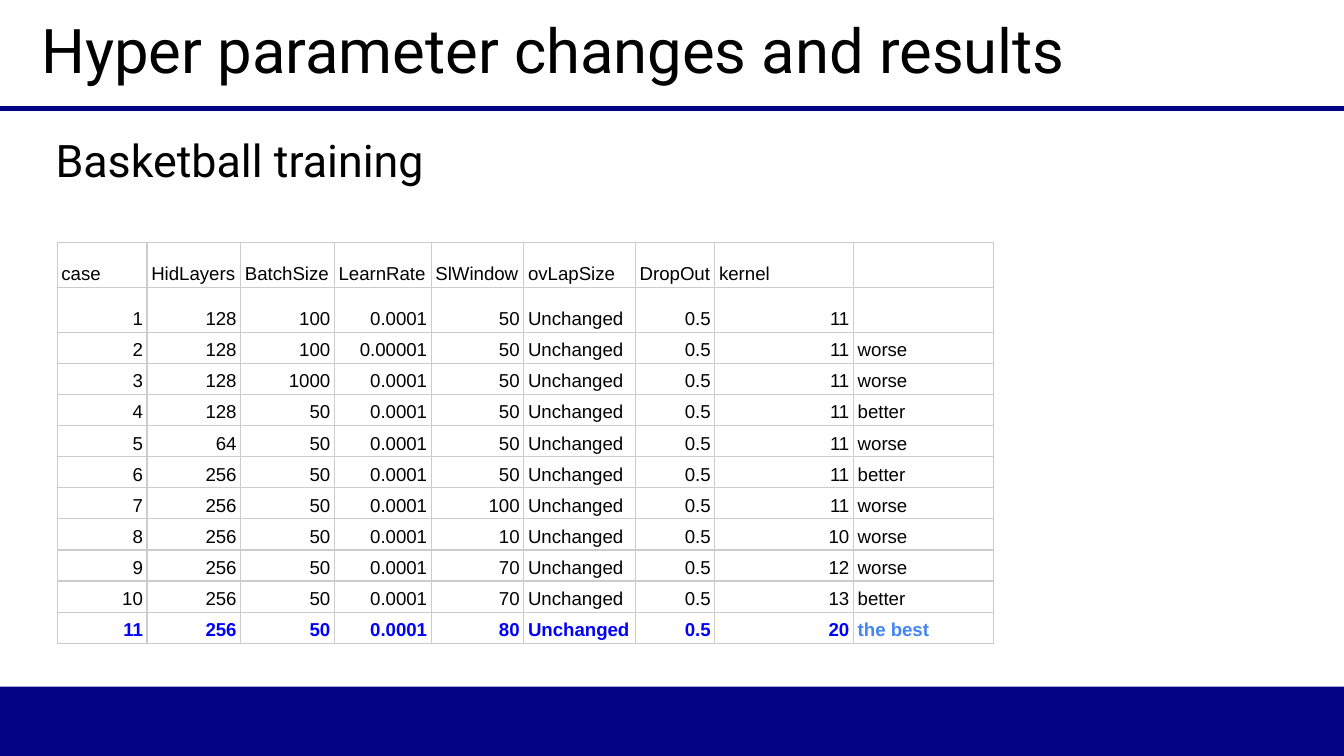
from lxml import etree
from pptx import Presentation
from pptx import util as u
from pptx.dml.color import RGBColor
from pptx.enum import shapes, text
from pptx.oxml import ns

NAVY, BLACK, WHITE = "030385", "000000", "FFFFFF"
BLUE, SKY, GREY = "0000FF", "4285F4", "CCCCCC"

HEAD = ["case", "HidLayers", "BatchSize", "LearnRate", "SlWindow",
        "ovLapSize", "DropOut", "kernel", ""]
# Layers, batch size, learning rate, window, kernel, verdict
CASES = [
    ("128", "100", "0.0001", "50", "11", ""),
    ("128", "100", "0.00001", "50", "11", "worse"),
    ("128", "1000", "0.0001", "50", "11", "worse"),
    ("128", "50", "0.0001", "50", "11", "better"),
    ("64", "50", "0.0001", "50", "11", "worse"),
    ("256", "50", "0.0001", "50", "11", "better"),
    ("256", "50", "0.0001", "100", "11", "worse"),
    ("256", "50", "0.0001", "10", "10", "worse"),
    ("256", "50", "0.0001", "70", "12", "worse"),
    ("256", "50", "0.0001", "70", "13", "better"),
    ("256", "50", "0.0001", "80", "20", "the best"),
]
WIDTHS = [1.7, 1.77, 1.77, 1.83, 1.75, 2.11, 1.5, 2.62, 2.64]
TALL, LOW = 0.85, 0.56
WORDS = (5, 8)  # columns that hold words, not numbers


def paint(color, value):
    color.rgb = RGBColor.from_string(value)


def fill(item, value):
    item.fill.solid()
    paint(item.fill.fore_color, value)


def style(para, face, size, color, bold=False):
    para.font.name, para.font.size, para.font.bold = face, u.Pt(size), bold
    paint(para.font.color, color)


def add_band(slide, top, width, height):
    band = slide.shapes.add_shape(shapes.MSO_SHAPE.RECTANGLE, 0, u.Cm(top),
                                  u.Cm(width), u.Cm(height))
    band.shadow.inherit = False
    fill(band, NAVY)
    band.line.fill.background()


def add_rule(slide, top, width):
    rule = slide.shapes.add_connector(shapes.MSO_CONNECTOR.STRAIGHT, 0,
                                      u.Cm(top), u.Cm(width), u.Cm(top))
    paint(rule.line.color, NAVY)
    rule.line.width = u.Pt(3)
    etree.SubElement(rule._element.spPr, ns.qn("a:effectLst"))


def add_label(slide, words, place, size, anchor, before=0):
    frame = slide.shapes.add_textbox(*map(u.Cm, place)).text_frame
    frame.word_wrap = True
    frame.vertical_anchor = anchor
    frame.margin_left = frame.margin_right = u.Cm(0.18)
    frame.margin_top = frame.margin_bottom = u.Cm(0.1)
    para = frame.paragraphs[0]
    para.text = words
    para.space_before = u.Pt(before)
    style(para, "Roboto", size, BLACK)


def add_edges(cell):
    props = cell._tc.get_or_add_tcPr()
    for i, side in enumerate(("lnL", "lnR", "lnT", "lnB")):
        edge = etree.Element(ns.qn("a:" + side), w=str(u.Pt(0.75)))
        ink = etree.SubElement(edge, ns.qn("a:solidFill"))
        etree.SubElement(ink, ns.qn("a:srgbClr"), val=GREY)
        props.insert(i, edge)


def fill_cell(cell, value, right, color, bold):
    fill(cell, WHITE)
    add_edges(cell)
    cell.vertical_anchor = text.MSO_ANCHOR.BOTTOM
    cell.margin_left = cell.margin_right = u.Cm(0.08)
    cell.margin_top = cell.margin_bottom = u.Cm(0.05 if value else 0)
    para = cell.text_frame.paragraphs[0]
    para.text = value
    para.line_spacing = 1.15
    para.alignment = text.PP_ALIGN.RIGHT if right else text.PP_ALIGN.LEFT
    style(para, "Arial", 10, color, bold)


def add_grid(slide, left, top):
    rows = [HEAD] + [[str(n), *case[:4], "Unchanged", "0.5", *case[4:]]
                     for n, case in enumerate(CASES, 1)]
    highs = [TALL] * 2 + [LOW] * (len(rows) - 2)
    grid = slide.shapes.add_table(
        len(rows), len(HEAD), u.Cm(left), u.Cm(top),
        u.Cm(sum(WIDTHS)), u.Cm(sum(highs))).table
    grid.first_row = grid.horz_banding = False
    for col, width in zip(grid.columns, WIDTHS):
        col.width = u.Cm(width)
    for r, row in enumerate(rows):
        grid.rows[r].height = u.Cm(highs[r])
        best = r == len(rows) - 1
        for c, value in enumerate(row):
            color = BLACK
            if best:
                color = SKY if c == len(row) - 1 else BLUE
            fill_cell(grid.cell(r, c), value, r > 0 and c not in WORDS,
                      color, best)


def main():
    deck = Presentation()
    deck.slide_width, deck.slide_height = u.Cm(25.4), u.Cm(14.29)
    slide = deck.slides.add_slide(deck.slide_layouts[6])

    # Footer band and title rule
    add_band(slide, 12.98, 25.4, 1.31)
    add_rule(slide, 2.05, 25.4)

    # Headings
    add_label(slide, "Hyper parameter changes and results",
              (0.6, 0, 23.67, 1.73), 33, text.MSO_ANCHOR.BOTTOM)
    add_label(slide, "Basketball training",
              (0.87, 2.4, 23.67, 9.5), 24, text.MSO_ANCHOR.TOP, 14)

    # Results of each case
    add_grid(slide, 1.08, 4.58)
    deck.save("out.pptx")


if __name__ == "__main__":
    main()
